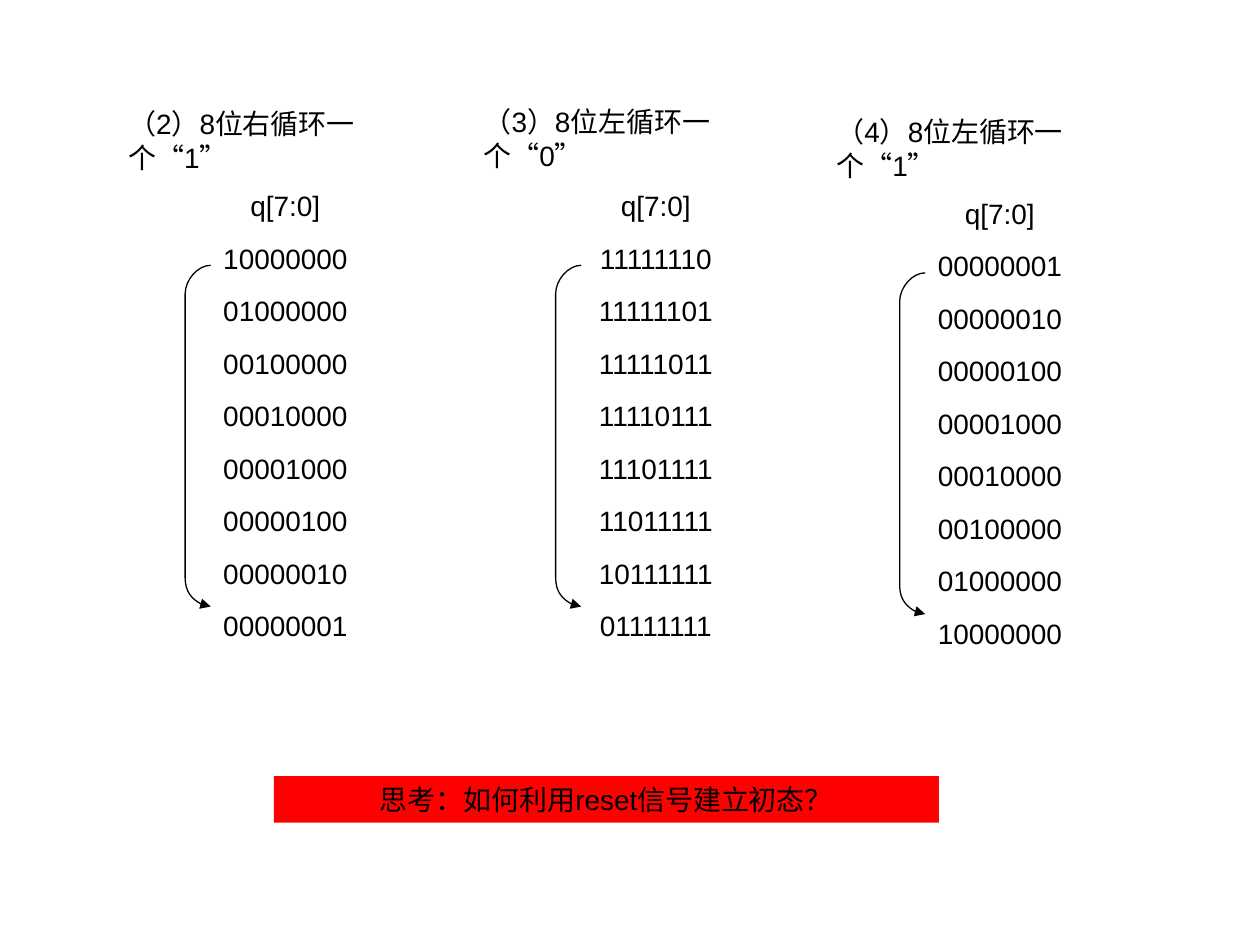
"""Build a slide listing three 8-bit ring counter sequences."""
from lxml import etree
from pptx import Presentation
from pptx.dml.color import RGBColor
from pptx.enum.shapes import MSO_SHAPE
from pptx.enum.text import MSO_ANCHOR, PP_ALIGN
from pptx.oxml.ns import qn
from pptx.util import Pt

RECTANGLE = MSO_SHAPE.RECTANGLE
TOP = MSO_ANCHOR.TOP
LEFT, CENTER = PP_ALIGN.LEFT, PP_ALIGN.CENTER
BLACK, RED = "000000", "FF0000"
BLANK_LAYOUT = 6

# heading, its left and top, list left and top, first state, shift per step
COUNTERS = [
    ("（2）8位右循环一个“1”", 66.2, 57.6, 108.7, 104.4, "10000000", -1),
    ("（3）8位左循环一个“0”", 269.3, 56.2, 320.4, 104.4, "11111110", 1),
    ("（4）8位左循环一个“1”", 470.9, 61.9, 517, 108.7, "00000001", 1),
]


def color(value):
    """Return the colour for a hex string."""
    return RGBColor.from_string(value)


def write_lines(shape, lines, align):
    """Fill a shape with one paragraph per line."""
    frame = shape.text_frame
    frame.word_wrap = True
    frame.vertical_anchor = TOP
    for index, line in enumerate(lines):
        para = frame.add_paragraph() if index else frame.paragraphs[0]
        para.alignment = align
        if index:
            para.space_before = Pt(10.8)
        span = para.add_run()
        span.text = line
        span.font.size = Pt(16)
        span.font.name = "Arial"
        span.font.color.rgb = color(BLACK)


def add_text(shapes, left, top, width, height, lines, align=LEFT):
    """Add a wrapped text box."""
    box = shapes.add_textbox(Pt(left), Pt(top), Pt(width), Pt(height))
    write_lines(box, lines, align)


def curve_segment(segment, controls):
    """Turn a straight path segment into a Bezier curve."""
    segment.tag = qn("a:cubicBezTo")
    for index, (x, y) in enumerate(controls):
        point = etree.Element(qn("a:pt"), x=str(Pt(x)), y=str(Pt(y)))
        segment.insert(index, point)


def add_return_arrow(shapes, left, top):
    """Add the rounded arrow leading from the first state to the last."""
    width, height, corner = 14.6, 195, 16.4
    builder = shapes.build_freeform(Pt(left + width), Pt(top))
    corners = [(0, corner), (0, height - corner), (width, height)]
    builder.add_line_segments(
        [(Pt(left + x), Pt(top + y)) for x, y in corners], close=False)
    arrow = builder.convert_to_shape()
    arrow.shadow.inherit = False
    arrow.fill.background()
    arrow.line.color.rgb = color(BLACK)
    arrow.line.width = Pt(0.75)
    segments = list(arrow.element.iter(qn("a:lnTo")))
    curve_segment(segments[0], [(width / 2, 0), (0, corner / 2)])
    curve_segment(segments[2],
                  [(0, height - corner / 2), (width / 2, height)])
    outline = arrow.element.spPr.find(qn("a:ln"))
    etree.SubElement(outline, qn("a:tailEnd"), type="triangle")


def rotations(state, step):
    """Return the eight states reached by rotating left by step each time."""
    shifts = [step * index % len(state) for index in range(len(state))]
    return [state[shift:] + state[:shift] for shift in shifts]


def add_counter(slide, heading, head_left, head_top, left, top, state, step):
    """Add a heading with its grouped state list and return arrow."""
    add_text(slide.shapes, head_left, head_top, 189.4, 46, [heading])
    group = slide.shapes.add_group_shape()
    lines = ["q[7:0]"] + rotations(state, step)
    add_text(group.shapes, left, top, 108.7, 260, lines, CENTER)
    add_return_arrow(group.shapes, left - 2.9, top + 47.2)


def add_banner(slide, text):
    """Add the red question bar."""
    bar = slide.shapes.add_shape(
        RECTANGLE, Pt(156.5), Pt(443.5), Pt(380), Pt(26.6))
    bar.shadow.inherit = False
    bar.fill.solid()
    bar.fill.fore_color.rgb = color(RED)
    bar.line.fill.background()
    write_lines(bar, [text], CENTER)


def main():
    """Build and save the deck."""
    deck = Presentation()
    deck.slide_width, deck.slide_height = Pt(720), Pt(540)
    page = deck.slides.add_slide(deck.slide_layouts[BLANK_LAYOUT])
    for counter in COUNTERS:
        add_counter(page, *counter)
    add_banner(page, "思考：如何利用reset信号建立初态？")
    deck.save("out.pptx")


if __name__ == "__main__":
    main()
